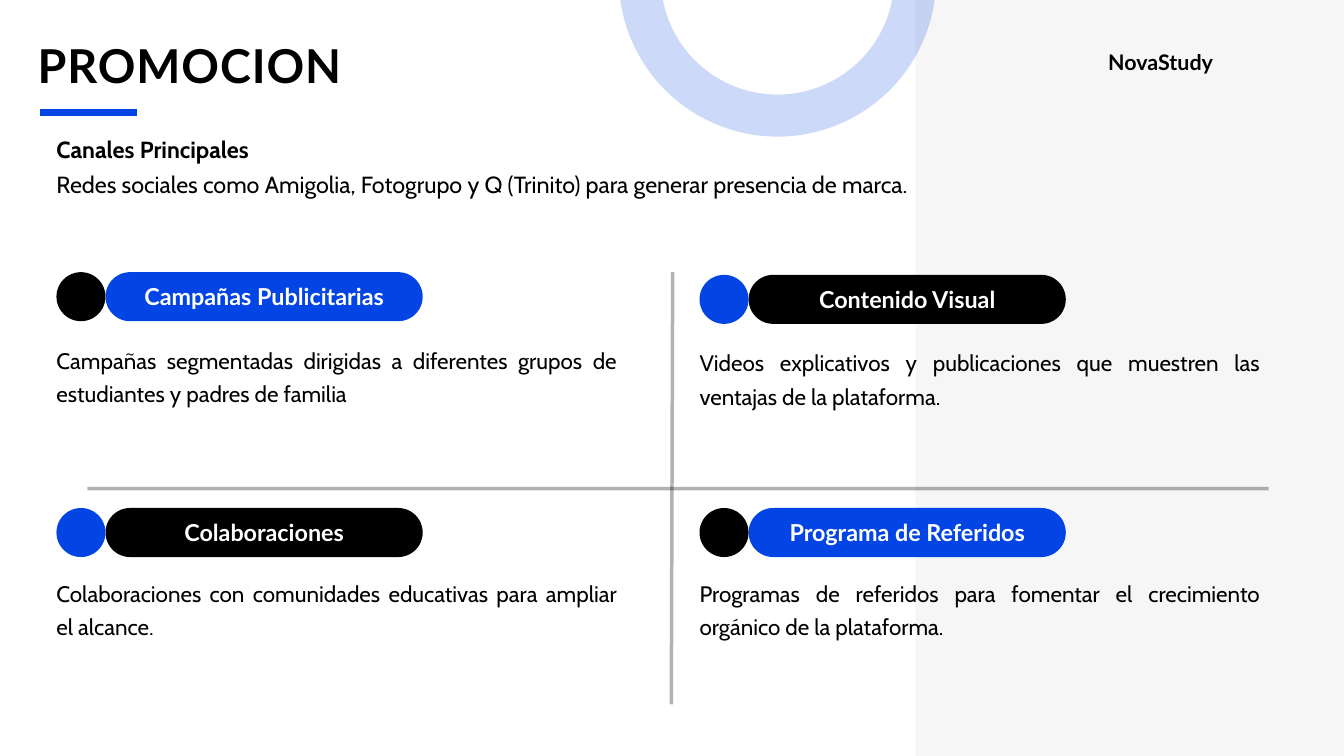
from lxml import etree
from pptx import Presentation
from pptx.dml.color import RGBColor
from pptx.enum.shapes import MSO_CONNECTOR, MSO_SHAPE
from pptx.enum.text import MSO_ANCHOR, MSO_AUTO_SIZE, PP_ALIGN
from pptx.oxml.ns import qn
from pptx.util import Inches, Pt

STRAIGHT = MSO_CONNECTOR.STRAIGHT
RECTANGLE, OVAL, PILL = MSO_SHAPE.RECTANGLE, MSO_SHAPE.OVAL, MSO_SHAPE.ROUNDED_RECTANGLE
LEFT, CENTER, JUSTIFY = PP_ALIGN.LEFT, PP_ALIGN.CENTER, PP_ALIGN.JUSTIFY
TOP, MIDDLE = MSO_ANCHOR.TOP, MSO_ANCHOR.MIDDLE
GROW = MSO_AUTO_SIZE.SHAPE_TO_FIT_TEXT

COLORS = {"white": "FFFFFF", "black": "000000", "blue": "0345E4", "panel": "F6F6F6"}
HEADING_FONT, BODY_FONT = "Lato", "Cabin"

TITLE = "PROMOCION"
PROJECT = "NovaStudy"
CHANNELS_HEADING = "Canales Principales"
CHANNELS = "Redes sociales como Amigolia, Fotogrupo y Q (Trinito) para generar presencia de marca."

CARDS = [
    {"column": 0, "row": 0, "nudge": 0, "pill": "blue", "dot": "black",
     "heading": "Campañas Publicitarias",
     "body": "Campañas segmentadas dirigidas a diferentes grupos de estudiantes y padres de familia"},
    {"column": 1, "row": 0, "nudge": 0.04, "pill": "black", "dot": "blue",
     "heading": "Contenido Visual",
     "body": "Videos explicativos y publicaciones que muestren las ventajas de la plataforma."},
    {"column": 0, "row": 1, "nudge": 0, "pill": "black", "dot": "blue",
     "heading": "Colaboraciones",
     "body": "Colaboraciones con comunidades educativas para ampliar el alcance."},
    {"column": 1, "row": 1, "nudge": 0, "pill": "blue", "dot": "black",
     "heading": "Programa de Referidos",
     "body": "Programas de referidos para fomentar el crecimiento orgánico de la plataforma."},
]

WIDTH, HEIGHT = 20, 11.25
MARGIN, COLUMN_STEP = 0.84, 9.57
ROW_TOPS, BODY_GAPS = (4.05, 7.56), (1.01, 0.97)
DOT, PILL_WIDTH = 0.73, 4.72
BODY_WIDTH, BODY_HEIGHT = 8.34, 1.47
PANEL_LEFT = 13.62
RING = 4.1
RING_BOTTOM = 1.72

presentation = Presentation()
presentation.slide_width, presentation.slide_height = Inches(WIDTH), Inches(HEIGHT)
slide = presentation.slides.add_slide(presentation.slide_layouts[6])


def color(name):
    return RGBColor.from_string(COLORS[name])


def style_line(shape, name, width, opacity=100):
    shape.line.color.rgb = color(name)
    shape.line.width = Pt(width)
    if opacity < 100:
        fill_color = shape.line._ln.find(".//" + qn("a:srgbClr"))
        etree.SubElement(fill_color, qn("a:alpha"), val=str(opacity * 1000))


def add_line(x1, y1, x2, y2, name, width, opacity=100):
    connector = slide.shapes.add_connector(
        STRAIGHT, Inches(x1), Inches(y1), Inches(x2), Inches(y2))
    style_line(connector, name, width, opacity)
    etree.SubElement(connector._element.spPr, qn("a:effectLst"))


def add_block(kind, left, top, width, height, fill=None):
    shape = slide.shapes.add_shape(
        kind, Inches(left), Inches(top), Inches(width), Inches(height))
    shape.shadow.inherit = False
    shape.line.fill.background()
    if fill:
        shape.fill.solid()
        shape.fill.fore_color.rgb = color(fill)
    else:
        shape.fill.background()
    return shape


def write(shape, text, size, spacing, font=BODY_FONT, name="black", bold=False,
          align=JUSTIFY, anchor=TOP, bottom=0, tracking=0):
    frame = shape.text_frame
    frame.word_wrap = True
    frame.vertical_anchor = anchor
    frame.margin_left = frame.margin_right = frame.margin_top = 0
    frame.margin_bottom = Inches(bottom)
    paragraph = frame.paragraphs[0]
    paragraph.alignment = align
    paragraph.line_spacing = Pt(spacing)
    run = paragraph.add_run()
    run.text = text
    run.font.name, run.font.size, run.font.bold = font, Pt(size), bold
    run.font.color.rgb = color(name)
    if tracking:
        run.font._element.set("spc", str(tracking * 100))


def add_text(left, top, width, height, text, size, spacing, **style):
    box = slide.shapes.add_textbox(Inches(left), Inches(top), Inches(width), Inches(height))
    write(box, text, size, spacing, **style)
    box.text_frame.auto_size = GROW


def add_card(card):
    left = MARGIN + card["column"] * COLUMN_STEP
    top = ROW_TOPS[card["row"]] + card["nudge"]
    pill = add_block(PILL, left + DOT, top, PILL_WIDTH, DOT, card["pill"])
    pill.adjustments[0] = 0.5
    write(pill, card["heading"], 25, 35, font=HEADING_FONT, name="white", bold=True,
          align=CENTER, anchor=MIDDLE, bottom=0.08)
    add_block(OVAL, left, top, DOT, DOT, card["dot"])
    add_text(left, top + BODY_GAPS[card["row"]], BODY_WIDTH, BODY_HEIGHT, card["body"], 24, 36)


add_block(RECTANGLE, PANEL_LEFT, 0, WIDTH - PANEL_LEFT, HEIGHT, "panel")
add_line(1.3, 7.27, 18.88, 7.27, "black", 3.75, 30)
add_line(10.01, ROW_TOPS[0], 9.99, 10.48, "black", 3.75, 30)
add_line(0.6, 1.67, 2.04, 1.67, "blue", 7.5)

add_text(0.56, 0.41, 11.78, 0.93, TITLE, 50, 70,
         font=HEADING_FONT, bold=True, align=LEFT, tracking=1)
add_text(16.49, 0.67, 3, 0.43, PROJECT, 23, 32.2,
         font=HEADING_FONT, bold=True, align=LEFT)

for card in CARDS:
    add_card(card)

ring = add_block(OVAL, PANEL_LEFT - RING, RING_BOTTOM - RING, RING, RING)
style_line(ring, "blue", 45, 20)

add_text(MARGIN, 1.9, 12.64, 0.49, CHANNELS_HEADING, 25, 37.5, bold=True)
add_text(MARGIN, 2.43, 13.75, 1, CHANNELS, 25, 37.5)

presentation.save("out.pptx")
